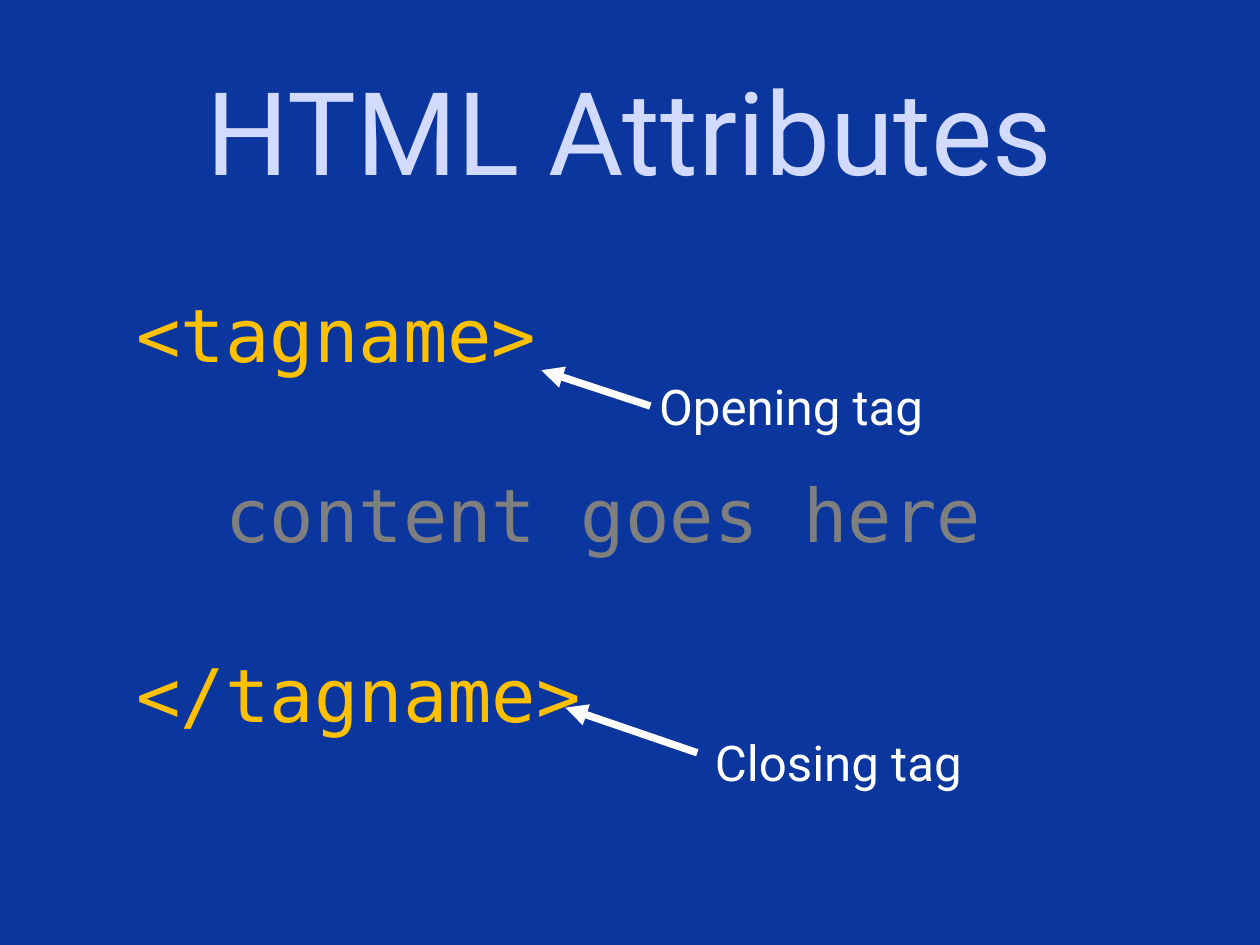
from lxml import etree
from pptx import Presentation
from pptx.dml.color import RGBColor
from pptx.enum.shapes import MSO_CONNECTOR
from pptx.enum.text import MSO_ANCHOR, PP_ALIGN
from pptx.oxml.ns import qn
from pptx.util import Inches, Pt

STRAIGHT = MSO_CONNECTOR.STRAIGHT
MIDDLE, TOP = MSO_ANCHOR.MIDDLE, MSO_ANCHOR.TOP
CENTER, LEFT = PP_ALIGN.CENTER, PP_ALIGN.LEFT
LEFT_SIDE = 1

SANS, MONO = "Roboto", "DejaVu Sans Mono"
BLUE, LAVENDER, WHITE = "0A369D", "D2DAFF", "FFFFFF"
AMBER, GRAY = "FFC000", "7F7F7F"

TITLE = ("HTML Attributes", LAVENDER)
CODE_LINES = [
    ("<tagname>", AMBER),
    ("  content goes here", GRAY),
    ("</tagname>", AMBER),
]
CODE_GAP = 74.4
CALLOUTS = [
    {"text": "Opening tag", "box": (7.34, 4.2, 3.47, 0.77),
     "start": (7.34, 4.59), "tip": (6.11, 4.18), "joined": True},
    {"text": "Closing tag", "box": (7.97, 8.22, 3.13, 0.77),
     "start": (7.87, 8.5), "tip": (6.38, 7.99), "joined": False},
]


def color(hex_string):
    return RGBColor.from_string(hex_string)


def add_text(slide, box, lines, font_name, size, align=LEFT, anchor=TOP, gap=0):
    shape = slide.shapes.add_textbox(*map(Inches, box))
    text_frame = shape.text_frame
    text_frame.word_wrap = True
    text_frame.vertical_anchor = anchor
    text_frame.text = "\n".join(text for text, _ in lines)
    for index, (paragraph, (_, hex_string)) in enumerate(zip(text_frame.paragraphs, lines)):
        paragraph.alignment = align
        if index:
            paragraph.space_before = Pt(gap)
        font = paragraph.runs[0].font
        font.name = font_name
        font.size = Pt(size)
        font.color.rgb = color(hex_string)
    return shape


def add_arrow(slide, start, tip):
    arrow = slide.shapes.add_connector(STRAIGHT, *map(Inches, start + tip))
    arrow.line.color.rgb = color(WHITE)
    arrow.line.width = Pt(6)
    etree.SubElement(arrow.line._get_or_add_ln(), qn("a:tailEnd"), type="triangle")
    etree.SubElement(arrow._element.spPr, qn("a:effectLst"))
    return arrow


def main():
    presentation = Presentation()
    presentation.slide_width = Inches(14.22)
    presentation.slide_height = Inches(10.67)
    slide = presentation.slides.add_slide(presentation.slide_layouts[6])
    slide.background.fill.solid()
    slide.background.fill.fore_color.rgb = color(BLUE)

    add_text(slide, (1.44, 3.21, 11.34, 5.15), CODE_LINES, MONO, 60, gap=CODE_GAP)
    for callout in CALLOUTS:
        arrow = add_arrow(slide, callout["start"], callout["tip"])
        label = add_text(slide, callout["box"], [(callout["text"], WHITE)], SANS, 40)
        if callout["joined"]:
            arrow.begin_connect(label, LEFT_SIDE)
    add_text(slide, (1.04, 0.28, 12.14, 2.36), [TITLE], SANS, 93.9, CENTER, MIDDLE)

    presentation.save("out.pptx")


if __name__ == "__main__":
    main()
